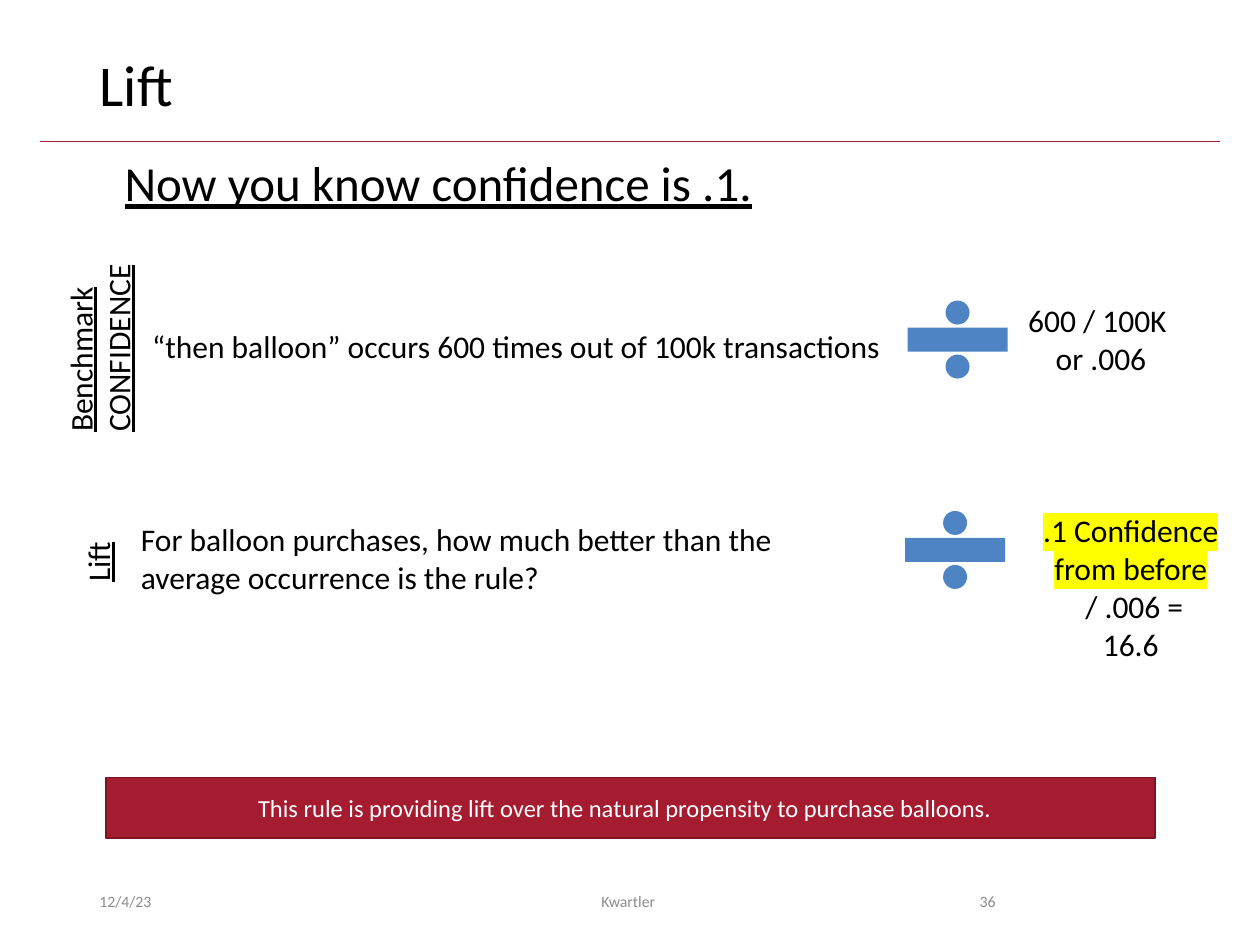
from lxml import etree
from pptx import Presentation
from pptx import util as u
from pptx.dml.color import RGBColor
from pptx.enum import shapes, text
from pptx.oxml.ns import qn

BLACK, GREY, WHITE = "000000", "8C8C8C", "FFFFFF"
BLUE, CRIMSON, DARK_CRIMSON, YELLOW = "4E84C4", "A51C30", "7A1524", "FFFF00"
LEFT, CENTER, RIGHT = text.PP_ALIGN.LEFT, text.PP_ALIGN.CENTER, text.PP_ALIGN.RIGHT
TOP, MIDDLE = text.MSO_ANCHOR.TOP, text.MSO_ANCHOR.MIDDLE


def color(value):
    """Turn a hex string into a colour."""
    return RGBColor.from_string(value)


def inches(*lengths):
    """Turn numbers into lengths in inches."""
    return [u.Inches(length) for length in lengths]


def write(box, lines, size, ink=BLACK, align=LEFT, anchor=TOP, underline=None, wrap=True):
    """Fill a shape with one paragraph per line."""
    frame = box.text_frame
    frame.text = "\n".join(lines)
    frame.word_wrap = wrap
    frame.vertical_anchor = anchor
    for para in frame.paragraphs:
        para.alignment = align
        font = para.font
        font.name, font.size, font.underline = "Calibri", u.Pt(size), underline
        font.color.rgb = color(ink)


def add_text(page, place, lines, size=18, rotation=0, **style):
    """Add a text box."""
    box = page.shapes.add_textbox(*inches(*place))
    box.rotation = rotation
    write(box, lines, size, **style)
    return box


def add_shape(page, kind, place, fill, line=None):
    """Add a filled preset shape with an optional outline."""
    shape = page.shapes.add_shape(kind, *inches(*place))
    shape.shadow.inherit = False
    shape.fill.solid()
    shape.fill.fore_color.rgb = color(fill)
    if line:
        shape.line.color.rgb = color(line)
        shape.line.width = u.Pt(1)
    else:
        shape.line.fill.background()
    return shape


def add_rule(page, left, right, top):
    """Add the thin line under the title."""
    ends = inches(left, top, right, top)
    rule = page.shapes.add_connector(shapes.MSO_CONNECTOR.STRAIGHT, *ends)
    rule.line.color.rgb = color(CRIMSON)
    rule.line.width = u.Pt(0.5)
    etree.SubElement(rule._element.spPr, qn("a:effectLst"))


def highlight(span, fill):
    """Mark a run with a background colour."""
    mark = etree.SubElement(span._r.get_or_add_rPr(), qn("a:highlight"))
    etree.SubElement(mark, qn("a:srgbClr"), val=fill)


def set_title(page, words):
    """Place and format the title."""
    title = page.shapes.title
    title.left, title.top, title.width, title.height = inches(0.69, 0.4, 8.62, 0.65)
    write(title, [words], 33)
    title.text_frame.paragraphs[0].line_spacing = 0.9


def add_footer(page):
    """Add the date, author and page number."""
    for left, width, words, align in (
        (0.69, 2.25, "12/4/23", LEFT),
        (3.31, 3.38, "Kwartler ", CENTER),
        (7.06, 0.94, "36", RIGHT),
    ):
        add_text(page, (left, 6.95, width, 0.4), [words], 9,
                 ink=GREY, align=align, anchor=MIDDLE)


def main():
    """Build the slide."""
    deck = Presentation()
    deck.slide_width, deck.slide_height = inches(10, 7.5)
    page = deck.slides.add_slide(deck.slide_layouts[5])
    add_rule(page, 0.32, 9.68, 1.12)
    set_title(page, "Lift")
    add_footer(page)
    add_text(page, (0.89, 1.16, 5.24, 0.57), ["Now you know confidence is .1."], 28,
             underline=True, wrap=False)

    add_text(page, (0.02, 2.4, 1.54, 0.71), ["Benchmark", "CONFIDENCE"],
             rotation=270, underline=True, wrap=False)
    add_text(page, (1.11, 2.55, 6.05, 0.4),
             ["“then balloon” occurs 600 times out of 100k transactions"], wrap=False)
    add_text(page, (8.05, 2.34, 1.32, 0.71), ["600 / 100K", " or .006"],
             align=CENTER, wrap=False)

    add_text(page, (0.48, 4.22, 0.59, 0.4), ["Lift"],
             rotation=270, underline=True, wrap=False)
    add_text(page, (1.02, 4.08, 5.69, 0.71),
             ["For balloon purchases, how much better than the average occurrence is the rule?"])
    result = add_text(page, (8.11, 4.01, 1.73, 1.31),
                      [".1 Confidence from before", " / .006 =", "16.6"], align=CENTER)
    highlight(result.text_frame.paragraphs[0].runs[0], YELLOW)

    for left, top in ((7.06, 2.29), (7.04, 3.96)):
        add_shape(page, shapes.MSO_SHAPE.MATH_DIVIDE, (left, top, 1.08, 0.81), BLUE)
    banner = add_shape(page, shapes.MSO_SHAPE.RECTANGLE, (0.84, 6.17, 8.33, 0.48),
                       CRIMSON, DARK_CRIMSON)
    write(banner,
          ["This rule is providing lift over the natural propensity to purchase balloons.  "],
          14, ink=WHITE, align=CENTER, anchor=MIDDLE)
    deck.save("out.pptx")


if __name__ == "__main__":
    main()
